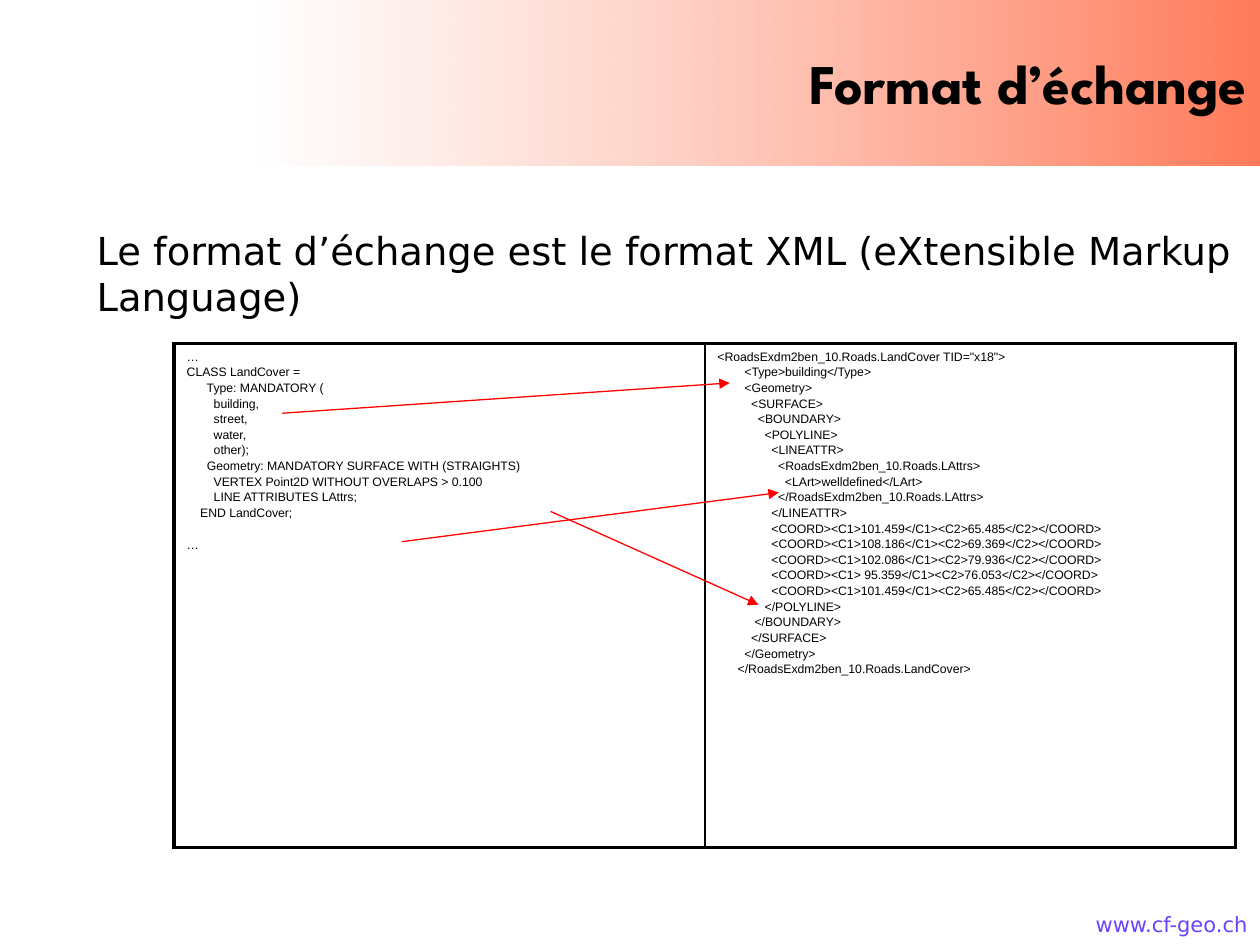
from lxml import etree
from pptx import Presentation
from pptx.dml.color import RGBColor
from pptx.enum.shapes import MSO_CONNECTOR, MSO_SHAPE
from pptx.enum.text import MSO_ANCHOR, PP_ALIGN
from pptx.oxml.ns import qn
from pptx.util import Cm, Pt

STRAIGHT = MSO_CONNECTOR.STRAIGHT
RECTANGLE = MSO_SHAPE.RECTANGLE
MIDDLE = MSO_ANCHOR.MIDDLE
LEFT, RIGHT = PP_ALIGN.LEFT, PP_ALIGN.RIGHT

MODEL = [
    "…",
    "CLASS LandCover =",
    "      Type: MANDATORY (",
    "        building,",
    "        street,",
    "        water,",
    "        other);",
    "      Geometry: MANDATORY SURFACE WITH (STRAIGHTS)",
    "        VERTEX Point2D WITHOUT OVERLAPS > 0.100",
    "        LINE ATTRIBUTES LAttrs;",
    "    END LandCover;",
    "",
    "…",
]

COORDS = [("101.459", "65.485"), ("108.186", "69.369"), ("102.086", "79.936"),
          (" 95.359", "76.053"), ("101.459", "65.485")]

XML = [
    '<RoadsExdm2ben_10.Roads.LandCover TID="x18">',
    "        <Type>building</Type>",
    "        <Geometry>",
    "          <SURFACE>",
    "            <BOUNDARY>",
    "              <POLYLINE>",
    "                <LINEATTR>",
    "                  <RoadsExdm2ben_10.Roads.LAttrs>",
    "                    <LArt>welldefined</LArt>",
    "                  </RoadsExdm2ben_10.Roads.LAttrs>",
    "                </LINEATTR>",
    *(f"                <COORD><C1>{c1}</C1><C2>{c2}</C2></COORD>"
      for c1, c2 in COORDS),
    "              </POLYLINE>",
    "           </BOUNDARY>",
    "          </SURFACE>",
    "        </Geometry>",
    "      </RoadsExdm2ben_10.Roads.LandCover>",
]

ARROWS = [
    ((5.69, 8.33), (14.71, 7.72)),
    ((11.1, 10.31), (15.29, 12.19)),
    ((8.1, 10.92), (15.7, 9.93)),
]


def color(value):
    return RGBColor.from_string(value)


def write(tf, lines, size, font="DejaVu Sans", fill="000000", bold=False,
          align=LEFT, gap=0, line_height=0):
    """Write one paragraph per line; an empty line widens the next gap."""
    p, before = tf.paragraphs[0], 0
    for i, line in enumerate(lines):
        if not line:
            before += line_height + gap
            continue
        if i:
            p = tf.add_paragraph()
            p.space_before = Pt(before)
        p.alignment = align
        r = p.add_run()
        r.text = line
        r.font.name, r.font.size, r.font.bold = font, Pt(size), bold
        r.font.color.rgb = color(fill)
        before = gap


class Deck:
    ink = "000000"
    arrow_red = "FF0000"
    banner_stops = [("FFFFFF", 46), ("FF3300", 65)]
    code = dict(size=7, font="Arial", gap=1.15, line_height=8.05)

    def __init__(self, prs):
        self.slide = prs.slides.add_slide(prs.slide_layouts[6])

    def text(self, x, y, w, h, text, **style):
        sp = self.slide.shapes.add_textbox(Cm(x), Cm(y), Cm(w), Cm(h))
        sp.text_frame.word_wrap = True
        write(sp.text_frame, [text], **style)

    def banner(self, x, y, w, h, text, **style):
        """Add a title on a see-through gradient."""
        sp = self.slide.shapes.add_shape(RECTANGLE, Cm(x), Cm(y), Cm(w), Cm(h))
        sp.shadow.inherit = False
        sp.line.fill.background()
        sp.fill.gradient()
        sp.fill.gradient_angle = 0
        for i, (stop, (value, opacity)) in enumerate(
                zip(sp.fill.gradient_stops, self.banner_stops)):
            stop.position = i
            stop.color.rgb = color(value)
            clr = list(sp._element.spPr.iter(qn("a:srgbClr")))[i]
            etree.SubElement(clr, qn("a:alpha"), val=str(opacity * 1000))
        tf = sp.text_frame
        tf.word_wrap = True
        tf.vertical_anchor = MIDDLE
        write(tf, [text], **style)

    def border(self, cell, side, width):
        ln = etree.SubElement(cell._tc.get_or_add_tcPr(), qn("a:ln" + side),
                              w=str(Pt(width)))
        fill = etree.SubElement(ln, qn("a:solidFill"))
        etree.SubElement(fill, qn("a:srgbClr"), val=self.ink)

    def code_table(self, x, y, w, h, columns):
        """Set code listings side by side in a one-row table."""
        table = self.slide.shapes.add_table(
            1, len(columns), Cm(x), Cm(y), Cm(w), Cm(h)).table
        table.first_row = table.horz_banding = False
        last = len(columns) - 1
        for i, listing in enumerate(columns):
            cell = table.cell(0, i)
            widths = {"L": 1 if i else 2.25, "R": 1 if i < last else 2.25,
                      "T": 2.25, "B": 2.25}
            for side, width in widths.items():
                self.border(cell, side, width)
            cell.fill.background()
            write(cell.text_frame, listing, fill=self.ink, **self.code)

    def arrow(self, start, end):
        line = self.slide.shapes.add_connector(
            STRAIGHT, *map(Cm, start), *map(Cm, end))
        line.line.color.rgb = color(self.arrow_red)
        line.line.width = Pt(0.75)
        sp_pr = line._element.spPr
        etree.SubElement(sp_pr.find(qn("a:ln")), qn("a:tailEnd"),
                         type="triangle")
        etree.SubElement(sp_pr, qn("a:effectLst"))


def main():
    prs = Presentation()
    prs.slide_width, prs.slide_height = Cm(25.4), Cm(19.05)
    deck = Deck(prs)
    deck.text(21.1, 18.26, 4.3, 0.79, "www.cf-geo.ch", size=12,
              fill="6A42FE", align=RIGHT)
    deck.banner(5.1, 0, 20.3, 3.33, "Format d’échange", size=32,
                font="League Spartan", bold=True, align=RIGHT)
    deck.text(1.7, 4.45, 23.5, 2.7, "Le format d’échange est le format XML "
              "(eXtensible Markup Language)", size=22)
    deck.code_table(3.51, 6.93, 21.4, 10.16, [MODEL, XML])
    for start, end in ARROWS:
        deck.arrow(start, end)
    prs.save("out.pptx")


if __name__ == "__main__":
    main()
